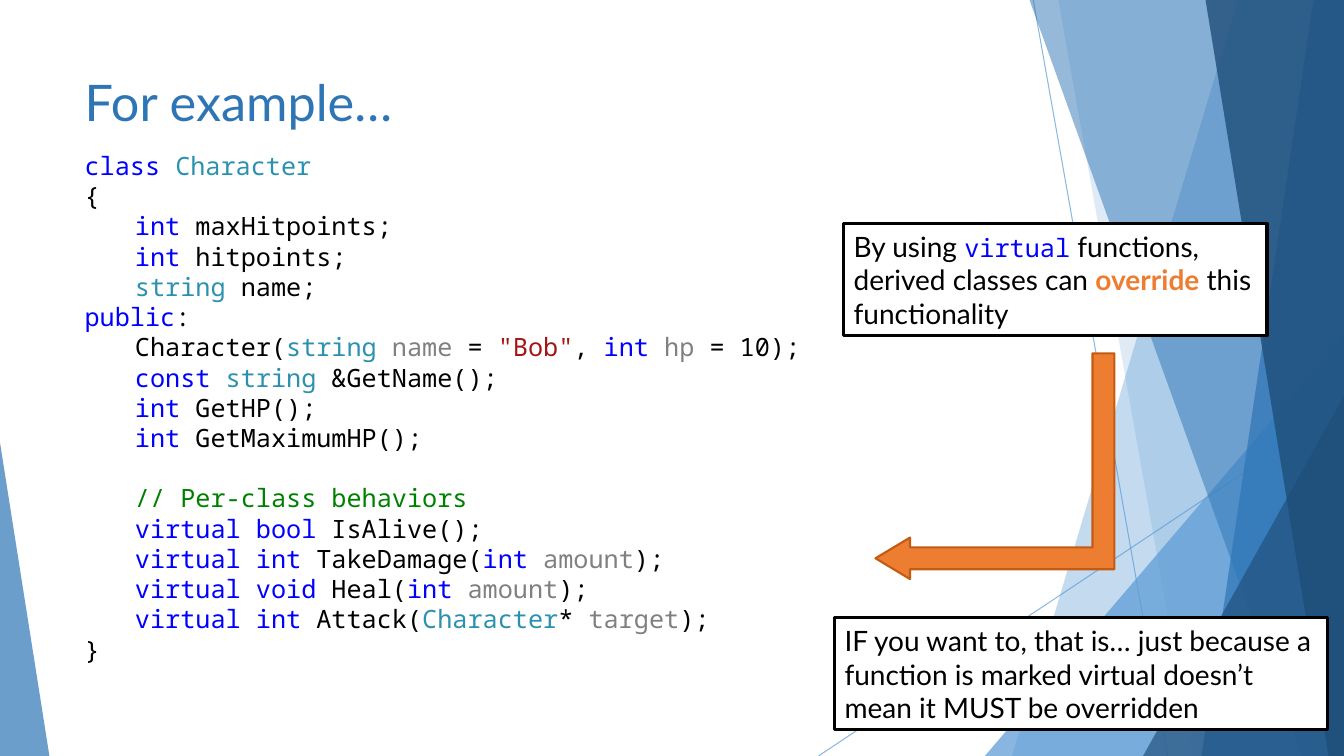
from lxml.etree import SubElement
from pptx import Presentation
from pptx.dml.color import RGBColor
from pptx.enum.shapes import MSO_CONNECTOR, MSO_SHAPE
from pptx.enum.text import MSO_ANCHOR, PP_ALIGN
from pptx.oxml.ns import qn
from pptx.util import Inches, Pt

WIDTH, HEIGHT = Inches(13.333), Inches(7.5)
SANS, MONO = "Lato", "Noto Sans Mono"
SKY, BLUE, NAVY = "5B9BD5", "2E75B6", "1F4E79"
ORANGE, RUST, BLACK, WHITE = "ED7D31", "C55A11", "000000", "FFFFFF"
KEYWORD, TYPE, PARAMETER, STRING, COMMENT = "0000FF", "2B91AF", "808080", "A31515", "008000"
CODE_PITCH = Pt(21.6)

# Each code line: indent level, blank rows before it, coloured spans
CODE = [
    (0, 0, [(KEYWORD, "class "), (TYPE, "Character")]),
    (0, 0, [(BLACK, "{")]),
    (1, 0, [(KEYWORD, "int "), (BLACK, "maxHitpoints;")]),
    (1, 0, [(KEYWORD, "int "), (BLACK, "hitpoints;")]),
    (1, 0, [(TYPE, "string"), (BLACK, " name;")]),
    (0, 0, [(KEYWORD, "public"), (BLACK, ":")]),
    (1, 0, [(BLACK, "Character("), (TYPE, "string "), (PARAMETER, "name"), (BLACK, " = "),
            (STRING, '"Bob"'), (BLACK, ", "), (KEYWORD, "int "), (PARAMETER, "hp"),
            (BLACK, " = 10);")]),
    (1, 0, [(KEYWORD, "const"), (TYPE, " string"), (BLACK, " &GetName();")]),
    (1, 0, [(KEYWORD, "int "), (BLACK, "GetHP();")]),
    (1, 0, [(KEYWORD, "int "), (BLACK, "GetMaximumHP();")]),
    (1, 1, [(COMMENT, "// Per-class behaviors")]),
    (1, 0, [(KEYWORD, "virtual bool "), (BLACK, "IsAlive();")]),
    (1, 0, [(KEYWORD, "virtual int "), (BLACK, "TakeDamage("), (KEYWORD, "int "),
            (PARAMETER, "amount"), (BLACK, ");")]),
    (1, 0, [(KEYWORD, "virtual void"), (BLACK, " Heal("), (KEYWORD, "int "),
            (PARAMETER, "amount"), (BLACK, ");")]),
    (1, 0, [(KEYWORD, "virtual int "), (BLACK, "Attack("), (TYPE, "Character"), (BLACK, "* "),
            (PARAMETER, "target"), (BLACK, ");")]),
    (0, 0, [(BLACK, "}")]),
]


def across(percent):
    """Turn a share of the slide's width into a length."""
    return round(WIDTH * percent / 100)


def down(percent):
    """Turn a share of the slide's height into a length."""
    return round(HEIGHT * percent / 100)


def area(left, top, width, height):
    """Turn four shares into left, top, width and height."""
    return across(left), down(top), across(width), down(height)


def color(code):
    """Read a hex string as a colour."""
    return RGBColor.from_string(code)


def set_opacity(shape, percent):
    """Make the shape's colours partly transparent."""
    for tint in shape._element.spPr.iter(qn("a:srgbClr")):
        SubElement(tint, qn("a:alpha")).set("val", str(percent * 1000))


def paint(shape, fill, line=None, weight=0):
    """Fill and outline a shape, without a shadow."""
    shape.shadow.inherit = False
    shape.fill.solid()
    shape.fill.fore_color.rgb = color(fill)
    if line:
        shape.line.color.rgb = color(line)
        shape.line.width = Pt(weight)
    else:
        shape.line.fill.background()


def add_span(para, text, ink, font=SANS, size=20, bold=False):
    """Add one formatted run to a paragraph."""
    span = para.add_run()
    span.text = text
    span.font.name, span.font.size, span.font.bold = font, Pt(size), bold
    span.font.color.rgb = color(ink)


def add_ray(page, start, end):
    """Draw a thin background line between two points."""
    ray = page.shapes.add_connector(MSO_CONNECTOR.STRAIGHT, across(start[0]), down(start[1]),
                                    across(end[0]), down(end[1]))
    ray.line.color.rgb = color(SKY)
    ray.line.width = Pt(0.75)
    set_opacity(ray, 70)
    SubElement(ray._element.spPr, qn("a:effectLst"))


def add_band(page, top_x, bottom_x, fill, opacity):
    """Draw a full-height band from a slanted edge to the right edge."""
    outline = page.shapes.build_freeform(across(top_x), 0)
    outline.add_line_segments([(WIDTH, 0), (WIDTH, HEIGHT), (across(bottom_x), HEIGHT)])
    band = outline.convert_to_shape()
    paint(band, fill)
    set_opacity(band, opacity)


def add_corner(page, left, top, width, apex, fill, opacity):
    """Draw a triangle that stands on the slide's bottom edge."""
    corner = page.shapes.add_shape(MSO_SHAPE.ISOSCELES_TRIANGLE,
                                   *area(left, top, width, 100 - top))
    corner.adjustments[0] = apex
    paint(corner, fill)
    set_opacity(corner, opacity)


def add_backdrop(page):
    """Draw the blue facets along the slide's sides."""
    add_ray(page, (76.88, 0), (86.88, 100))
    add_ray(page, (100, 53.73), (60.9, 100))
    add_band(page, 92.1, 75.3, SKY, 36)
    add_band(page, 78.75, 88.75, SKY, 20)
    add_corner(page, 73.28, 44.4, 26.72, 1, SKY, 72)
    add_band(page, 76.6, 96.85, BLUE, 50)
    add_band(page, 97.73, 89.4, BLUE, 70)
    add_band(page, 89.7, 98.85, NAVY, 80)
    add_corner(page, 85.05, 52.4, 14.95, 1, NAVY, 66)
    add_corner(page, 0, 58.53, 3.68, 0, BLUE, 70)


def add_title(page, text):
    """Move the title placeholder and fill it."""
    title = page.shapes.title
    title.left, title.top, title.width, title.height = area(5.55, 8.93, 70.5, 8.93)
    title.text_frame.vertical_anchor = MSO_ANCHOR.MIDDLE
    para = title.text_frame.paragraphs[0]
    para.alignment = PP_ALIGN.LEFT
    add_span(para, text, BLUE, size=36)


def add_code(page, lines):
    """Write the coloured code listing."""
    frame = page.shapes.add_textbox(*area(5.55, 19.2, 80, 70)).text_frame
    frame.word_wrap = True
    for number, (level, gap, spans) in enumerate(lines):
        para = frame.add_paragraph() if number else frame.paragraphs[0]
        para.line_spacing = CODE_PITCH
        para.space_before = CODE_PITCH * gap
        para._p.get_or_add_pPr().set("marL", str(Inches(0.5) * level))
        for ink, text in spans:
            add_span(para, text, ink, MONO, 18)


def add_note(page, left, top, width, spans):
    """Add a white note with a black frame."""
    note = page.shapes.add_shape(MSO_SHAPE.RECTANGLE, *area(left, top, width, 14.8))
    paint(note, WHITE, BLACK, 2.25)
    note.text_frame.word_wrap = True
    para = note.text_frame.paragraphs[0]
    para.alignment = PP_ALIGN.LEFT
    for span in spans:
        add_span(para, *span)


def add_bent_arrow(page):
    """Add the arrow that runs down from the note and left to the code."""
    arrow = page.shapes.add_shape(MSO_SHAPE.BENT_UP_ARROW, *area(65.63, 45.87, 16.8, 31.6))
    for index, share in enumerate((0.097, 0.092, 0.153)):
        arrow.adjustments[index] = share
    arrow.rotation = 270
    arrow._element.spPr.find(qn("a:xfrm")).set("flipH", "1")
    paint(arrow, ORANGE, RUST, 1.5)


def main():
    """Build the slide and save it."""
    deck = Presentation()
    deck.slide_width, deck.slide_height = WIDTH, HEIGHT
    page = deck.slides.add_slide(deck.slide_layouts[5])
    add_backdrop(page)
    add_title(page, "For example…")
    add_code(page, CODE)
    add_note(page, 62.78, 29.6, 31.5, [
        ("By using ", BLACK), ("virtual", KEYWORD, MONO, 18),
        (" functions, derived classes can ", BLACK),
        ("override", ORANGE, SANS, 20, True), (" this functionality", BLACK)])
    add_bent_arrow(page)
    add_note(page, 62.1, 81.73, 36.68, [
        ("IF you want to, that is… just because a function is marked virtual "
         "doesn’t mean it MUST be overridden", BLACK)])
    deck.save("out.pptx")


main()
